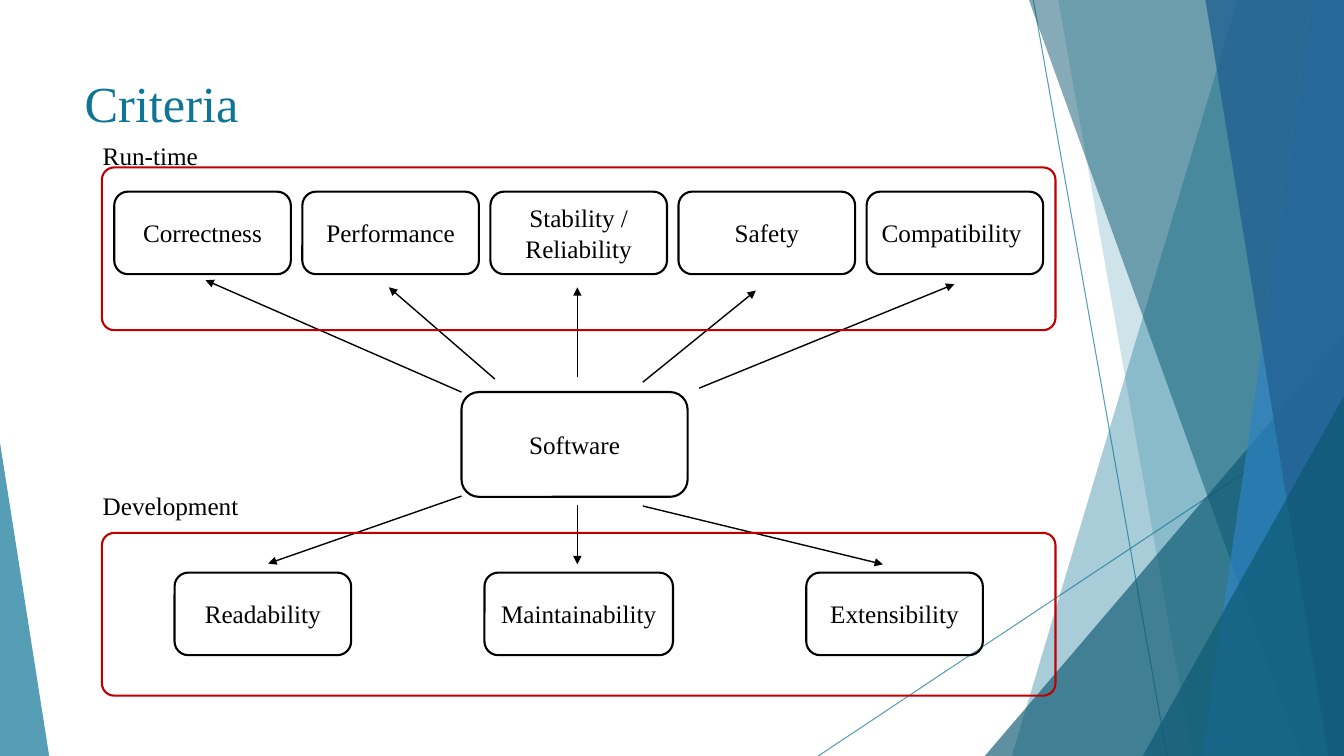
from lxml import etree
from pptx import Presentation
from pptx.dml.color import RGBColor
from pptx.enum.shapes import MSO_CONNECTOR, MSO_SHAPE
from pptx.enum.text import MSO_ANCHOR, PP_ALIGN
from pptx.oxml.ns import qn
from pptx.util import Cm, Pt

LINE = MSO_CONNECTOR.STRAIGHT
ROUNDED = MSO_SHAPE.ROUNDED_RECTANGLE
TRIANGLE = MSO_SHAPE.ISOSCELES_TRIANGLE
LEFT, CENTER = PP_ALIGN.LEFT, PP_ALIGN.CENTER
TOP, MIDDLE = MSO_ANCHOR.TOP, MSO_ANCHOR.MIDDLE

FONT = "Times New Roman"
COLORS = {"teal": "0F7597", "deep": "0B5871", "sky": "2E83C3",
          "blue": "226292", "frame": "C00000", "ink": "000000"}
WIDTH, HEIGHT = 33.87, 19.05
CARD_W, CARD_H = 4.45, 2.08


def rgb(name):
    """Return the named colour."""
    return RGBColor.from_string(COLORS[name])


def set_alpha(sp, percent):
    """Make the coloured part of a shape translucent."""
    for clr in sp.element.spPr.iter(qn("a:srgbClr")):
        etree.SubElement(clr, qn("a:alpha")).set("val", str(percent * 1000))


def add_text(tf, text, size, color="ink", align=LEFT, anchor=TOP):
    """Write one run of text into a text frame."""
    tf.word_wrap = True
    tf.vertical_anchor = anchor
    p = tf.paragraphs[0]
    p.alignment = align
    r = p.add_run()
    r.text = text
    r.font.name, r.font.size = FONT, Pt(size)
    r.font.color.rgb = rgb(color)


def add_line(slide, start, end, color, width):
    """Draw a straight line without shadow."""
    sp = slide.shapes.add_connector(LINE, *(Cm(v) for v in (*start, *end)))
    sp.line.color.rgb = rgb(color)
    sp.line.width = Pt(width)
    etree.SubElement(sp.element.spPr, qn("a:effectLst"))
    return sp


def fill_facet(sp, color, alpha):
    """Give a background facet its translucent fill."""
    sp.shadow.inherit = False
    sp.fill.solid()
    sp.fill.fore_color.rgb = rgb(color)
    sp.line.fill.background()
    set_alpha(sp, alpha)


def add_slab(slide, top_x, bottom_x, color, alpha):
    """Draw a full-height facet ending at the right edge."""
    fb = slide.shapes.build_freeform(Cm(top_x), 0, scale=1.0)
    points = [(WIDTH, 0), (WIDTH, HEIGHT), (bottom_x, HEIGHT)]
    fb.add_line_segments([(Cm(x), Cm(y)) for x, y in points], close=True)
    fill_facet(fb.convert_to_shape(), color, alpha)


def add_corner(slide, x, w, h, apex, color, alpha):
    """Draw a right triangle standing on the bottom edge."""
    sp = slide.shapes.add_shape(TRIANGLE, Cm(x), Cm(HEIGHT - h), Cm(w), Cm(h))
    sp.adjustments[0] = apex
    fill_facet(sp, color, alpha)


def add_backdrop(slide):
    """Draw the facets and thin lines behind the content."""
    for start, end in (((26.04, 0), (29.41, HEIGHT)),
                       ((WIDTH, 10.24), (20.62, HEIGHT))):
        set_alpha(add_line(slide, start, end, "teal", 0.75), 70)
    add_slab(slide, 31.19, 25.5, "teal", 36)
    add_slab(slide, 26.67, 30.05, "teal", 20)
    add_corner(slide, 24.82, 9.05, 10.59, 1, "deep", 66)
    add_slab(slide, 25.93, 32.79, "deep", 50)
    add_slab(slide, 33.1, 30.28, "sky", 70)
    add_slab(slide, 30.38, 33.48, "blue", 80)
    add_corner(slide, 28.8, 5.07, 9.07, 1, "deep", 66)
    add_corner(slide, 0, 1.24, 7.9, 0, "teal", 70)


def add_title(slide, box, text):
    """Place the title placeholder in its box."""
    sp = slide.shapes.title
    sp.left, sp.top, sp.width, sp.height = (Cm(v) for v in box)
    add_text(sp.text_frame, text, 36, "teal")


def add_box(slide, box, color="ink", text=None):
    """Draw an outlined rounded box, with centred text if given."""
    sp = slide.shapes.add_shape(ROUNDED, *(Cm(v) for v in box))
    sp.shadow.inherit = False
    sp.fill.background()
    sp.line.color.rgb = rgb(color)
    sp.line.width = Pt(1.5)
    if text:
        add_text(sp.text_frame, text, 18, align=CENTER, anchor=MIDDLE)
    return sp


def add_band(slide, box, label, label_dy, cards, pitch, card_dy):
    """Draw a labelled frame with cards spread evenly about its middle."""
    x, y, w, h = box
    add_box(slide, box, "frame").adjustments[0] = 0.075
    tb = slide.shapes.add_textbox(Cm(x - 0.23), Cm(y + label_dy), Cm(4.98), Cm(1.02))
    add_text(tb.text_frame, label, 18)
    for i, (text, card_w) in enumerate(cards):
        mid = x + w / 2 + (i - (len(cards) - 1) / 2) * pitch
        add_box(slide, (mid - card_w / 2, y + card_dy, card_w, CARD_H), text=text)


def add_hub(slide, box, text, arrows):
    """Draw the central box and its arrows, measured from its corner."""
    x, y = box[:2]
    add_box(slide, box, text=text)
    for x1, y1, x2, y2 in arrows:
        sp = add_line(slide, (x + x1, y + y1), (x + x2, y + y2), "ink", 1)
        ln = sp.line._get_or_add_ln()
        etree.SubElement(ln, qn("a:tailEnd")).set("type", "triangle")


def build_criteria(prs):
    """Build the criteria slide."""
    slide = prs.slides.add_slide(prs.slide_layouts[5])
    add_backdrop(slide)
    add_title(slide, (1.88, 1.7, 23.88, 3.66), "Criteria")
    add_hub(slide, (11.63, 9.88, 5.7, 2.64), "Software", [
        (0, 0, -6.45, -2.82),
        (0.84, -0.33, -1.83, -2.64),
        (2.92, -0.38, 2.92, -2.64),
        (4.57, -0.25, 7.42, -2.56),
        (5.99, -0.1, 12.42, -2.72),
        (0, 2.62, -4.87, 4.32),
        (2.92, 2.85, 2.92, 4.34),
        (4.57, 2.87, 10.62, 4.34),
    ])
    run_time = ["Correctness", "Performance", "Stability / Reliability",
                "Safety", "Compatibility "]
    add_band(slide, (2.57, 4.22, 24.03, 4.1), "Run-time", -0.81,
             [(text, CARD_W) for text in run_time], 4.74, 0.61)
    add_band(slide, (2.57, 13.43, 24.03, 4.1), "Development", -1.19,
             [("Readability", CARD_W), ("Maintainability", 4.75),
              ("Extensibility", CARD_W)], 7.96, 1)


def main():
    """Create and save the presentation."""
    prs = Presentation()
    prs.slide_width, prs.slide_height = Cm(WIDTH), Cm(HEIGHT)
    build_criteria(prs)
    prs.save("out.pptx")


if __name__ == "__main__":
    main()
